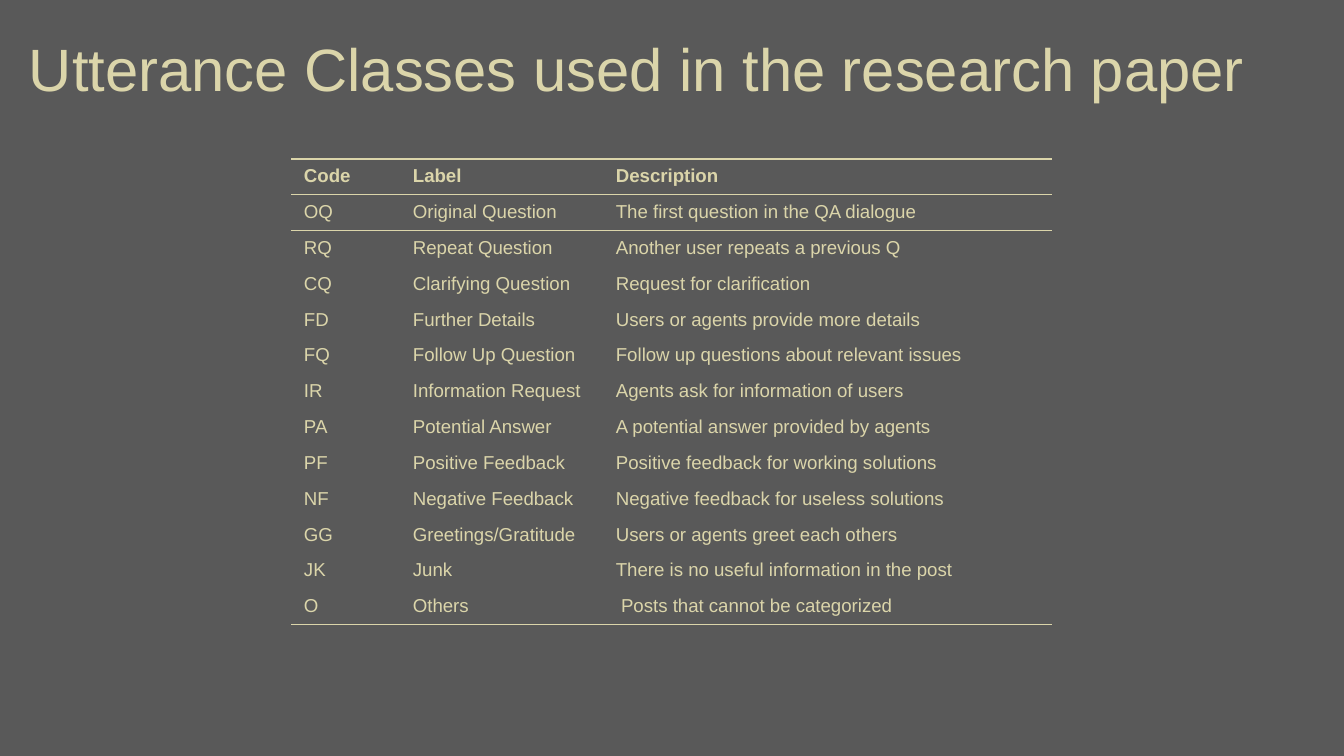
import pptx
import pptx.dml.color
import pptx.enum.text
import pptx.oxml
import pptx.oxml.ns
import pptx.util

TITLE = "Utterance Classes used in the research paper"
HEADER = ("Code", "Label", "Description")
CLASSES = [
    ("OQ", "Original Question", "The first question in the QA dialogue"),
    ("RQ", "Repeat Question", "Another user repeats a previous Q"),
    ("CQ", "Clarifying Question", "Request for clarification"),
    ("FD", "Further Details", "Users or agents provide more details"),
    ("FQ", "Follow Up Question", "Follow up questions about relevant issues"),
    ("IR", "Information Request", "Agents ask for information of users"),
    ("PA", "Potential Answer", "A potential answer provided by agents"),
    ("PF", "Positive Feedback", "Positive feedback for working solutions"),
    ("NF", "Negative Feedback", "Negative feedback for useless solutions"),
    ("GG", "Greetings/Gratitude", "Users or agents greet each others"),
    ("JK", "Junk", "There is no useful information in the post"),
    ("O", "Others", " Posts that cannot be categorized"),
]

GREY = pptx.dml.color.RGBColor(0x59, 0x59, 0x59)
CREAM = pptx.dml.color.RGBColor(0xDB, 0xD5, 0xAA)
PLAIN_STYLE = "{2D5ABB26-0587-4C30-8999-92F81FD0307C}"

SLIDE_SIZE = (1344, 756)
TITLE_BOX = (16, 19, 1312, 99)
TABLE_ORIGIN = (291, 159)
TABLE_HEIGHT = 466
COLUMN_WIDTHS = (109, 203, 449)
TITLE_INSET = 13
CELL_INSETS = {"margin_left": 13, "margin_right": 13, "margin_top": 7, "margin_bottom": 7}


def px(length):
    return pptx.util.Emu(round(length * pptx.util.Inches(1) / 134.4))


def set_values(target, values):
    for name, value in values.items():
        setattr(target, name, value)


def write_text(frame, text, size, bold=False):
    para = frame.paragraphs[0]
    para.alignment = pptx.enum.text.PP_ALIGN.LEFT
    span = para.add_run()
    span.text = text
    set_values(span.font, {"name": "Arial", "size": pptx.util.Pt(size), "bold": bold})
    span.font.color.rgb = CREAM


def add_border(cell, tag, position):
    line = pptx.oxml.parse_xml(
        f'<a:{tag} {pptx.oxml.ns.nsdecls("a")} w="{pptx.util.Pt(0.75)}">'
        f'<a:solidFill><a:srgbClr val="{CREAM}"/></a:solidFill></a:{tag}>'
    )
    cell._tc.get_or_add_tcPr().insert(position, line)


def add_title(page):
    box = page.shapes.title
    set_values(box, dict(zip(("left", "top", "width", "height"), map(px, TITLE_BOX))))
    inset = px(TITLE_INSET)
    set_values(box.text_frame, {
        "word_wrap": True,
        "auto_size": pptx.enum.text.MSO_AUTO_SIZE.NONE,
        "vertical_anchor": pptx.enum.text.MSO_ANCHOR.TOP,
        "margin_left": inset, "margin_right": inset,
        "margin_top": inset, "margin_bottom": inset,
    })
    write_text(box.text_frame, TITLE, 32)


def add_class_table(page):
    rows = [HEADER] + CLASSES
    size = (sum(COLUMN_WIDTHS), TABLE_HEIGHT)
    table = page.shapes.add_table(
        len(rows), len(HEADER), *map(px, TABLE_ORIGIN + size)
    ).table
    set_values(table, {"first_row": False, "horz_banding": False})
    table._tbl.tblPr.find(pptx.oxml.ns.qn("a:tableStyleId")).text = PLAIN_STYLE
    for column, width in zip(table.columns, COLUMN_WIDTHS):
        column.width = px(width)
    for row_index, row in enumerate(rows):
        table.rows[row_index].height = px(TABLE_HEIGHT / len(rows))
        for column_index, text in enumerate(row):
            cell = table.cell(row_index, column_index)
            set_values(cell, {name: px(inset) for name, inset in CELL_INSETS.items()})
            cell.fill.background()
            write_text(cell.text_frame, text, 10, bold=row_index == 0)
            if row_index in (0, len(rows) - 1):
                add_border(cell, "lnB", 0)
            if row_index in (0, 1):
                add_border(cell, "lnT", 0)


def main():
    deck = pptx.Presentation()
    deck.slide_width, deck.slide_height = map(px, SLIDE_SIZE)
    page = deck.slides.add_slide(deck.slide_layouts[5])
    page.background.fill.solid()
    page.background.fill.fore_color.rgb = GREY
    add_title(page)
    add_class_table(page)
    deck.save("out.pptx")


if __name__ == "__main__":
    main()
